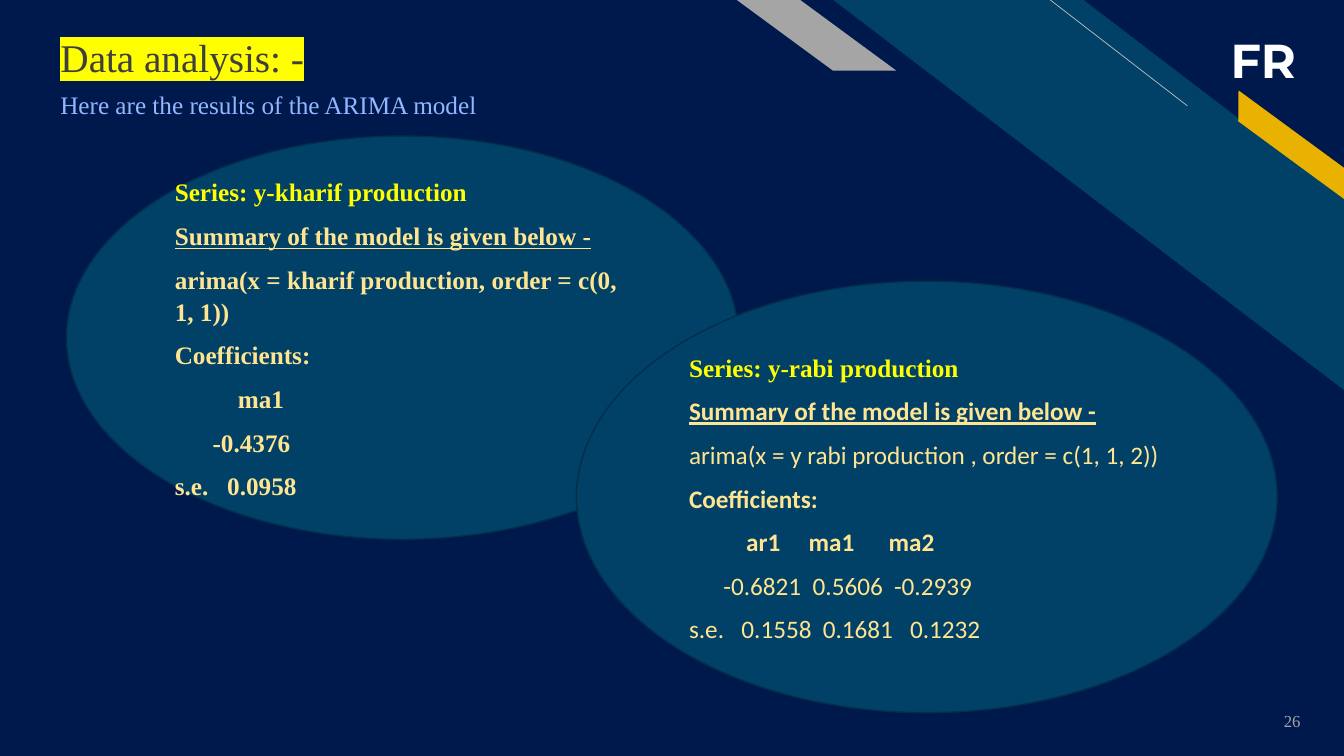
from lxml.etree import SubElement
from pptx import Presentation
from pptx.dml.color import RGBColor
from pptx.enum.shapes import MSO_CONNECTOR, MSO_SHAPE
from pptx.enum.text import MSO_ANCHOR, MSO_AUTO_SIZE, PP_ALIGN
from pptx.oxml.ns import qn
from pptx.util import Inches, Pt

THEME = {
    "navy": "00194C", "teal": "014067", "outline": "012F4C", "amber": "EAB200",
    "grey": "A5A5A5", "hairline": "BFBFBF", "white": "FFFFFF", "charcoal": "3F3F3F",
    "yellow": "FFFF00", "periwinkle": "93B6FF", "cream": "FFE591",
    "serif": "Times New Roman", "sans": "Calibri", "display": "Montserrat",
    "monogram": Pt(34), "title": Pt(28), "body": Pt(18), "number": Pt(12),
}

deck = Presentation()
deck.slide_width, deck.slide_height = Inches(13.333), Inches(7.5)
column, row = deck.slide_width / 100, deck.slide_height / 100
slide = deck.slides.add_slide(deck.slide_layouts[5])


def grid(left, top, width, height):
    return [round(n) for n in (left * column, top * row, width * column, height * row)]


def write(paragraph, text, color, **font):
    run = paragraph.add_run()
    run.text = text
    for key, value in font.items():
        setattr(run.font, key, value)
    run.font.color.rgb = RGBColor.from_string(THEME[color])
    return run


slide.background.fill.solid()
slide.background.fill.fore_color.rgb = RGBColor.from_string(THEME["navy"])

stripes = [
    (MSO_SHAPE.DIAGONAL_STRIPE, (62, 0, 38, 51.6), 0.51, 0, "teal"),
    (MSO_SHAPE.PARALLELOGRAM, (90.53, 17.47, 11.1, 3.33), 0.72, 36.3, "amber"),
    (MSO_SHAPE.PARALLELOGRAM, (54.83, 0, 11.85, 9.33), 1.36, 0, "grey"),
]
for preset, area, slant, turn, color in stripes:
    stripe = slide.shapes.add_shape(preset, *grid(*area))
    stripe.adjustments[0] = slant
    stripe.rotation = turn
    stripe.shadow.inherit = False
    stripe.fill.solid()
    stripe.fill.fore_color.rgb = RGBColor.from_string(THEME[color])
    stripe.line.fill.background()
    stripe._element.spPr.find(qn("a:xfrm")).set("flipH", "1")

hairline = slide.shapes.add_connector(
    MSO_CONNECTOR.STRAIGHT, *grid(88.35, 14, 78.15, 0))
hairline.line.color.rgb = RGBColor.from_string(THEME["hairline"])
hairline.line.width = Pt(0.5)
SubElement(hairline._element.spPr, qn("a:effectLst"))

labels = [
    ("FR", (90.83, 3.47, 6.68, 8.93), "white",
     {"size": THEME["monogram"], "name": THEME["display"], "bold": True},
     {"word_wrap": False}, PP_ALIGN.LEFT),
    ("26", (91.43, 92.67, 6.08, 5.33), "grey",
     {"size": THEME["number"], "name": THEME["serif"]},
     {"word_wrap": True, "vertical_anchor": MSO_ANCHOR.MIDDLE}, PP_ALIGN.RIGHT),
    ("Here are the results of the ARIMA model", (3.75, 11.2, 50, 5.33), "periwinkle",
     {"size": THEME["body"], "name": THEME["serif"]},
     {"word_wrap": True}, PP_ALIGN.LEFT),
    ("Data analysis: -", (3.75, 3.73, 69.15, 7.6), "charcoal",
     {"size": THEME["title"], "name": THEME["serif"]},
     {"word_wrap": True, "vertical_anchor": MSO_ANCHOR.TOP,
      "auto_size": MSO_AUTO_SIZE.NONE}, PP_ALIGN.LEFT),
]
for text, area, color, font, frame, alignment in labels:
    if text == "Data analysis: -":
        label = slide.shapes.title
        label.left, label.top, label.width, label.height = grid(*area)
    else:
        label = slide.shapes.add_textbox(*grid(*area))
    for key, value in frame.items():
        setattr(label.text_frame, key, value)
    heading = label.text_frame.paragraphs[0]
    heading.alignment = alignment
    caption = write(heading, text, color, **font)

highlight = SubElement(caption._r.rPr, qn("a:highlight"))
SubElement(highlight, qn("a:srgbClr")).set("val", THEME["yellow"])
caption._r.rPr.find(qn("a:solidFill")).addnext(highlight)

summary = "Summary of the model is given below -"
series = [
    ((4.95, 18, 50, 53.33), "serif", [
        ("Series: y-kharif production", True, []),
        (summary, True, []),
        ("arima(x = kharif production, order = c(0, 1, 1))", True, []),
        ("Coefficients:", True, []),
        ("\tma1", True, [4.69]),
        ("\t-0.4376", True, [2.81]),
        ("s.e.\t0.0958", True, [3.9]),
    ]),
    ((42.9, 37.2, 52.13, 57.07), "sans", [
        ("Series: y-rabi production", True, []),
        (summary, True, []),
        ("arima(x = y rabi production , order = c(1, 1, 2))", False, []),
        ("Coefficients:", True, []),
        ("\tar1\tma1\tma2", True, [4.25, 8.9, 14.85]),
        ("\t-0.6821\t0.5606\t-0.2939", False, [2.55, 9.2, 15.25]),
        ("s.e.\t0.1558\t0.1681\t0.1232", False, [3.9, 9.95, 16.45]),
    ]),
]
for area, typeface, results in series:
    ellipse = slide.shapes.add_shape(MSO_SHAPE.OVAL, *grid(*area))
    ellipse.shadow.inherit = False
    ellipse.fill.solid()
    ellipse.fill.fore_color.rgb = RGBColor.from_string(THEME["teal"])
    ellipse.line.color.rgb = RGBColor.from_string(THEME["outline"])
    ellipse.line.width = Pt(1)
    ellipse.text_frame.word_wrap = True
    ellipse.text_frame.vertical_anchor = MSO_ANCHOR.MIDDLE
    for index, (text, bold, stops) in enumerate(results):
        result = (ellipse.text_frame.add_paragraph() if index
                  else ellipse.text_frame.paragraphs[0])
        if stops:
            tabs = SubElement(result._p.get_or_add_pPr(), qn("a:tabLst"))
            for stop in stops:
                tab = SubElement(tabs, qn("a:tab"))
                tab.set("pos", str(round(stop * column)))
                tab.set("algn", "l")
        for key, value in {"alignment": PP_ALIGN.LEFT, "line_spacing": 1.07,
                           "space_after": Pt(8)}.items():
            setattr(result, key, value)
        write(result, text, "cream" if index else "yellow", size=THEME["body"],
              name=THEME[typeface if index else "serif"], bold=bold,
              underline=text == summary)

deck.save("out.pptx")
